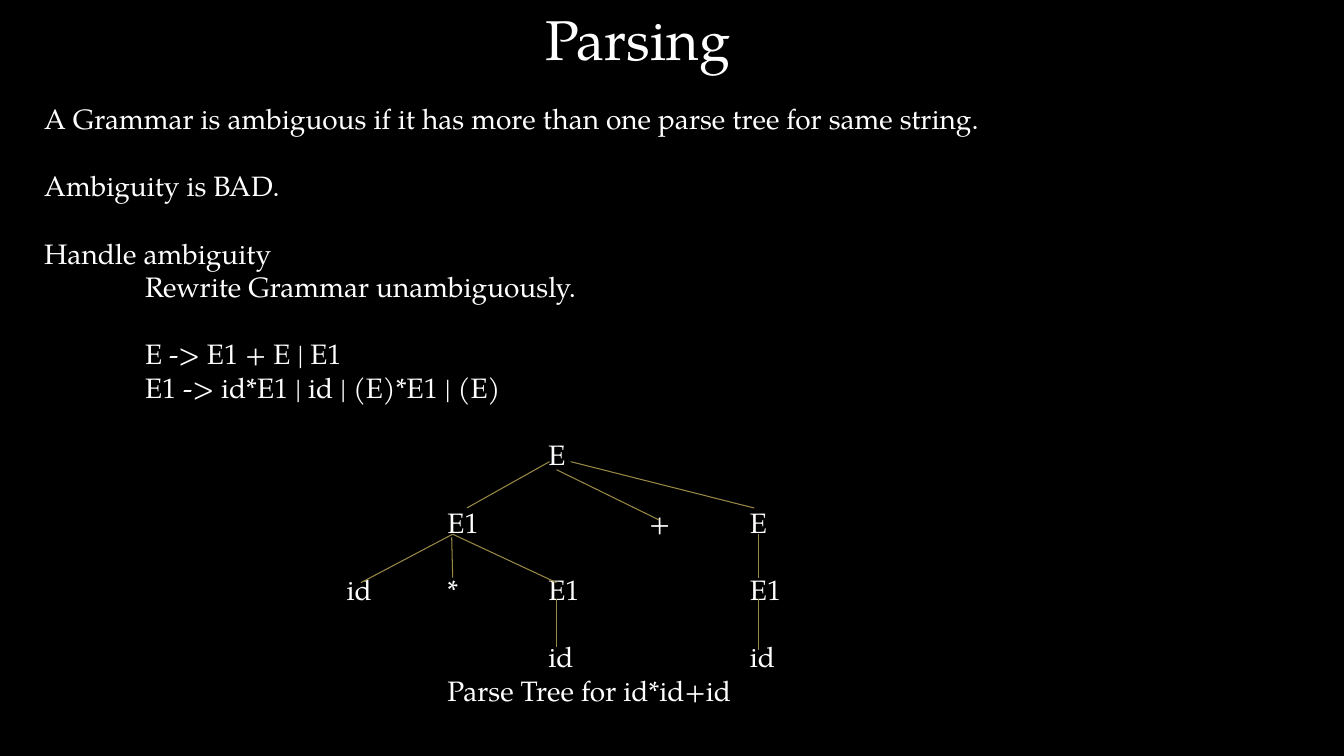
import pptx
import pptx.dml.color
import pptx.enum.shapes
import pptx.enum.text
import pptx.oxml.ns
import pptx.util
from lxml import etree

FONT = "TeX Gyre Pagella"
WHITE, BLACK, GOLD = "FFFFFF", "000000", "998946"
LEFT, TOP = 0.34, 0.96
INSET_X, INSET_Y = 0.1, 0.05
COLUMN, ROW = 1, 1 / 3  # one tab stop and one text line, in inches

# (indent in columns, blank line above, text)
LINES = [
    (0, False, "A Grammar is ambiguous if it has more than one parse tree for same string."),
    (0, True, "Ambiguity is BAD."),
    (0, True, "Handle ambiguity"),
    (1, False, "Rewrite Grammar unambiguously."),
    (1, True, "E -> E1 + E | E1"),
    (1, False, "E1 -> id*E1 | id | (E)*E1 | (E)"),
    (5, True, "E"),
    (4, True, "E1\t\t+\tE"),
    (3, True, "id\t*\tE1\t\tE1"),
    (5, True, "id\t\tid"),
    (4, False, "Parse Tree for id*id+id"),
]

# (column, row) of the parent end and of the child end
BRANCHES = [
    ((5.01, 10.71), (4.19, 12.09)),
    ((5.08, 10.95), (6.1, 12.45)),
    ((5.22, 10.71), (7.04, 12.09)),
    ((4.05, 12.87), (3.14, 14.31)),
    ((4.04, 12.96), (4.05, 14.16)),
    ((4.05, 12.87), (5.08, 14.31)),
    ((7.08, 12.87), (7.08, 14.16)),
    ((5.08, 14.79), (5.08, 16.23)),
    ((7.08, 14.79), (7.08, 16.32)),
]


def color(value):
    return pptx.dml.color.RGBColor.from_string(value)


def add_text_frame(slide, left, top, width, height):
    box = slide.shapes.add_textbox(*map(pptx.util.Inches, (left, top, width, height)))
    frame = box.text_frame
    frame.word_wrap = True
    frame.auto_size = pptx.enum.text.MSO_AUTO_SIZE.SHAPE_TO_FIT_TEXT
    return frame


def style(paragraph, size):
    paragraph.font.name = FONT
    paragraph.font.size = pptx.util.Pt(size)
    paragraph.font.color.rgb = color(WHITE)


def add_title(slide, text):
    title = add_text_frame(slide, 5.31, 0, 2.16, 0.77).paragraphs[0]
    title.text = text
    style(title, 40)


def add_lines(slide, lines):
    frame = add_text_frame(slide, LEFT, TOP, 12.33, 6.16)
    for number, (indent, gap, text) in enumerate(lines):
        line = frame.add_paragraph() if number else frame.paragraphs[0]
        line.text = text
        line.alignment = pptx.enum.text.PP_ALIGN.JUSTIFY
        if gap:
            line.space_before = pptx.util.Pt(ROW * 72)
        properties = line._p.get_or_add_pPr()
        properties.set("marL", str(pptx.util.Inches(indent * COLUMN)))
        properties.set("indent", "0")
        properties.set("defTabSz", str(pptx.util.Inches(COLUMN)))
        style(line, 20)


def grid_point(column, row):
    return (pptx.util.Inches(LEFT + INSET_X + column * COLUMN),
            pptx.util.Inches(TOP + INSET_Y + row * ROW))


def add_branch(slide, parent, child):
    branch = slide.shapes.add_connector(
        pptx.enum.shapes.MSO_CONNECTOR.STRAIGHT, *grid_point(*parent), *grid_point(*child))
    branch.line.color.rgb = color(GOLD)
    branch.line.width = pptx.util.Pt(0.75)
    etree.SubElement(branch._element.spPr, pptx.oxml.ns.qn("a:effectLst"))


def main():
    deck = pptx.Presentation()
    deck.slide_width = pptx.util.Inches(13.33)
    deck.slide_height = pptx.util.Inches(7.5)
    slide = deck.slides.add_slide(deck.slide_layouts[6])
    slide.background.fill.solid()
    slide.background.fill.fore_color.rgb = color(BLACK)
    add_lines(slide, LINES)
    add_title(slide, "Parsing")
    for parent, child in BRANCHES:
        add_branch(slide, parent, child)
    deck.save("out.pptx")


if __name__ == "__main__":
    main()
